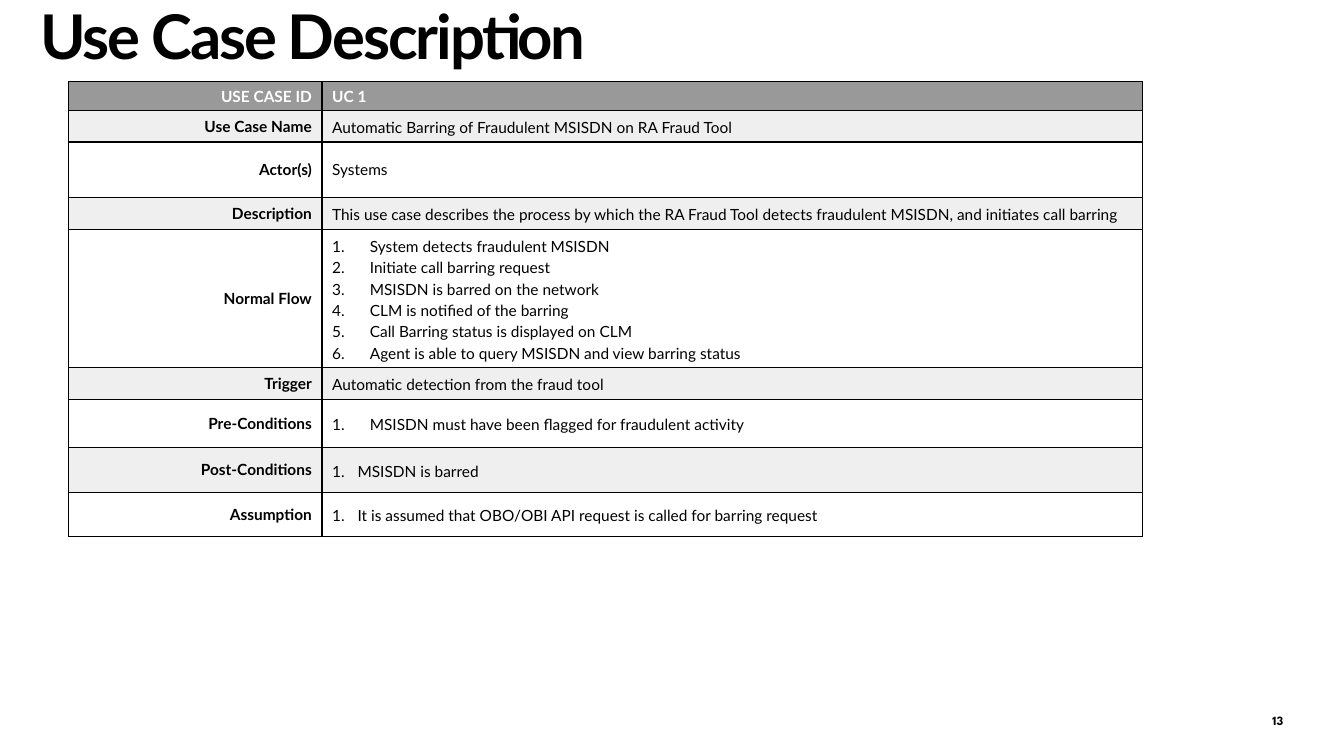
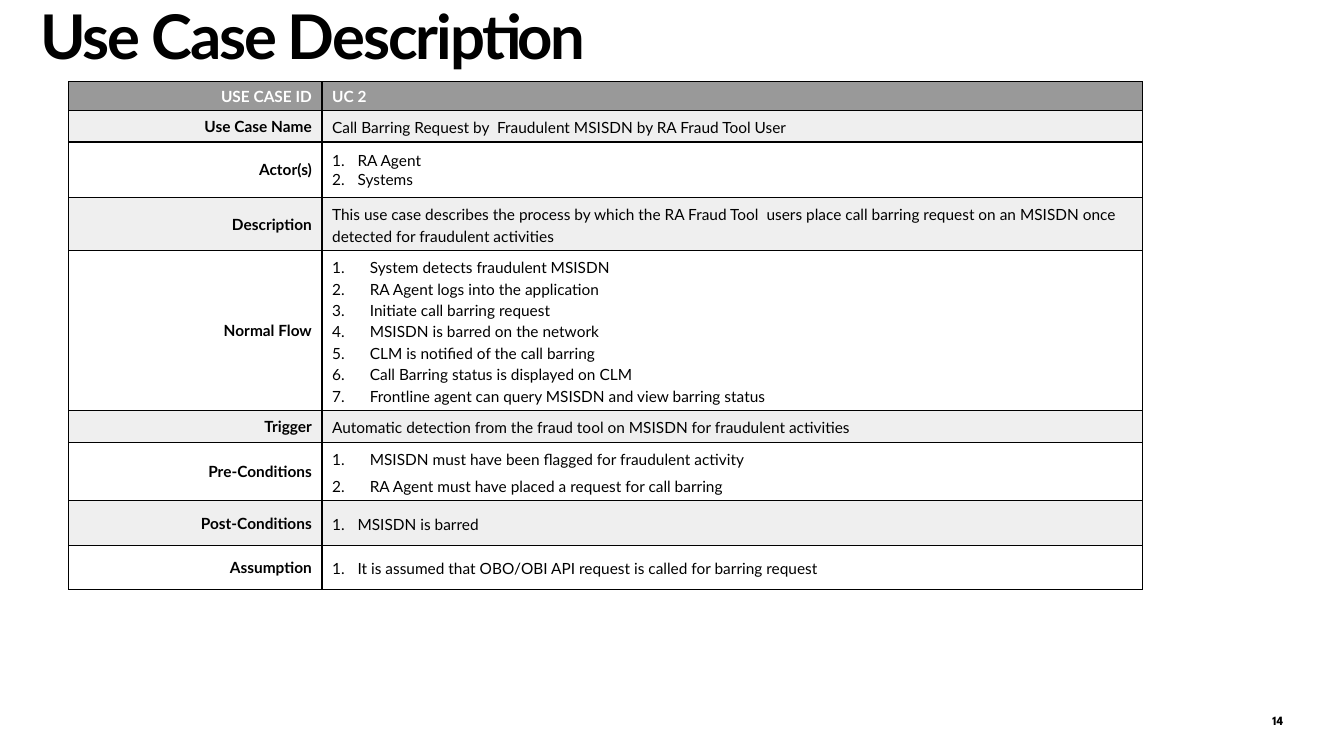
from lxml import etree
from pptx import Presentation
from pptx.dml.color import RGBColor
from pptx.enum.shapes import MSO_SHAPE
from pptx.enum.text import MSO_ANCHOR, MSO_AUTO_SIZE, PP_ALIGN
from pptx.oxml.ns import qn
from pptx.util import Cm, Pt

OVAL = MSO_SHAPE.OVAL
TOP, MIDDLE = MSO_ANCHOR.TOP, MSO_ANCHOR.MIDDLE
LEFT, CENTER, RIGHT = PP_ALIGN.LEFT, PP_ALIGN.CENTER, PP_ALIGN.RIGHT
NO_AUTOFIT = MSO_AUTO_SIZE.NONE

BLACK = RGBColor(0x00, 0x00, 0x00)
WHITE = RGBColor(0xFF, 0xFF, 0xFF)
HEADER_GREY = RGBColor(0x99, 0x99, 0x99)
BAND_GREY = RGBColor(0xEF, 0xEF, 0xEF)

TITLE_LAYOUT = 5
TITLE = "Use Case Description"
TITLE_BOX = (Cm(1.02), Cm(0.15), Cm(31.67), Cm(1.37))
TABLE_BOX = (Cm(1.73), Cm(2.06), Cm(27.06), Cm(10.75))
NUMBER_BOX = (Cm(31.34), Cm(17.81), Cm(1.73), Cm(0.69))
LABEL_SHARE = 0.236

TITLE_FONT = {"name": "Lato", "size": Pt(44), "bold": True}
NUMBER_FONT = {"name": "League Spartan", "size": Pt(9), "bold": True}
LABEL_FONT = {"name": "Lato", "size": Pt(11), "bold": True}
VALUE_FONT = {**LABEL_FONT, "bold": False}
NO_INSETS = dict.fromkeys(
    ("margin_left", "margin_top", "margin_right", "margin_bottom"), 0)

PLAIN = {}
SPACED = {"line_spacing": 1.15, "space_before": Pt(3), "space_after": Pt(3)}
LOOSE = {"line_spacing": 1.15, "space_before": Pt(2), "space_after": Pt(2)}
TIGHT = {"line_spacing": 1.15}
WIDE, NARROW = Cm(0.95), Cm(0.64)

ROWS = [
    ("USE CASE ID", Cm(0.61), PLAIN, None),
    ("Use Case Name", Cm(0.66), SPACED, None),
    ("Actor(s)", Cm(1.4), PLAIN, NARROW),
    ("Description", Cm(0.66), SPACED, None),
    ("Normal Flow", Cm(3.3), TIGHT, WIDE),
    ("Trigger", Cm(0.66), SPACED, None),
    ("Pre-Conditions", Cm(1.22), LOOSE, WIDE),
    ("Post-Conditions", Cm(1.12), TIGHT, NARROW),
    ("Assumption", Cm(1.12), TIGHT, NARROW),
]

FLAGGED = "MSISDN must have been flagged for fraudulent activity"
OUTCOME = [
    ["MSISDN is barred"],
    ["It is assumed that OBO/OBI API request is called for barring request"],
]
USE_CASES = {
    13: [
        "UC 1",
        "Automatic Barring of Fraudulent MSISDN on RA Fraud Tool",
        "Systems",
        "This use case describes the process by which the RA Fraud Tool "
        "detects fraudulent MSISDN, and initiates call barring",
        ["System detects fraudulent MSISDN",
         "Initiate call barring request",
         "MSISDN is barred on the network",
         "CLM is notified of the barring",
         "Call Barring status is displayed on CLM",
         "Agent is able to query MSISDN and view barring status"],
        "Automatic detection from the fraud tool",
        [FLAGGED],
        *OUTCOME,
    ],
    14: [
        "UC 2",
        "Call Barring Request by  Fraudulent MSISDN by RA Fraud Tool User",
        ["RA Agent", "Systems"],
        "This use case describes the process by which the RA Fraud Tool  "
        "users place call barring request on an MSISDN once detected for "
        "fraudulent activities",
        ["System detects fraudulent MSISDN",
         "RA Agent logs into the application",
         "Initiate call barring request",
         "MSISDN is barred on the network",
         "CLM is notified of the call barring",
         "Call Barring status is displayed on CLM",
         "Frontline agent can query MSISDN and view barring status"],
        "Automatic detection from the fraud tool on MSISDN for fraudulent "
        "activities",
        [FLAGGED, "RA Agent must have placed a request for call barring"],
        *OUTCOME,
    ],
}


def set_attrs(obj, values):
    """Set each named attribute of an object."""
    for name, value in values.items():
        setattr(obj, name, value)


def write(p, text, font, color=BLACK, align=LEFT, spacing=PLAIN):
    """Write one formatted run into a paragraph and return it."""
    set_attrs(p, {"alignment": align, **spacing})
    r = p.add_run()
    r.text = text
    set_attrs(r.font, font)
    r.font.color.rgb = color
    return r


def number_paragraph(p, indent):
    """Number a paragraph with a hanging indent."""
    pPr = p._p.get_or_add_pPr()
    pPr.set("marL", str(indent))
    pPr.set("indent", str(-indent))
    etree.SubElement(pPr, qn("a:buFont"), typeface="Lato")
    etree.SubElement(pPr, qn("a:buAutoNum"), type="arabicPeriod")


def style_cell(cell, fill):
    """Give a cell thin black borders, a fill and centred text."""
    tcPr = cell._tc.get_or_add_tcPr()
    for side in ("lnL", "lnR", "lnT", "lnB"):
        ln = etree.SubElement(tcPr, qn(f"a:{side}"), w=str(Pt(1)))
        solid = etree.SubElement(ln, qn("a:solidFill"))
        etree.SubElement(solid, qn("a:srgbClr"), val=str(BLACK))
    cell.fill.solid()
    cell.fill.fore_color.rgb = fill
    cell.vertical_anchor = MIDDLE


def fill_value(tf, value, font, color, spacing, indent):
    """Write a cell's text, numbered when it is a list."""
    items = value if isinstance(value, list) else [value]
    for i, text in enumerate(items):
        p = tf.add_paragraph() if i else tf.paragraphs[0]
        write(p, text, font, color, spacing=spacing)
        if items is value:
            number_paragraph(p, indent)


def add_title(s, box):
    """Place and format the title placeholder."""
    sp = s.shapes.title
    set_attrs(sp, dict(zip(("left", "top", "width", "height"), box)))
    tf = sp.text_frame
    set_attrs(tf, {**NO_INSETS, "vertical_anchor": TOP, "word_wrap": True,
                   "auto_size": NO_AUTOFIT})
    r = write(tf.paragraphs[0], TITLE, TITLE_FONT, spacing={"line_spacing": 0.9})
    r.font._element.set("spc", "-150")


def add_use_case_table(s, box, values):
    """Draw the table of labels and values for one use case."""
    width = box[2]
    table = s.shapes.add_table(len(ROWS), 2, *box).table
    set_attrs(table, {"first_row": False, "horz_banding": False})
    table.columns[0].width = round(width * LABEL_SHARE)
    table.columns[1].width = width - table.columns[0].width
    for i, ((label, height, spacing, indent), value) in enumerate(
            zip(ROWS, values)):
        table.rows[i].height = height
        fill = BAND_GREY if i % 2 else WHITE
        color, font = BLACK, VALUE_FONT
        if i == 0:
            fill, color, font = HEADER_GREY, WHITE, LABEL_FONT
        label_cell, value_cell = table.rows[i].cells
        for cell in (label_cell, value_cell):
            style_cell(cell, fill)
        write(label_cell.text_frame.paragraphs[0], label, LABEL_FONT, color,
              RIGHT)
        fill_value(value_cell.text_frame, value, font, color, spacing, indent)
        if label == "Normal Flow":
            value_cell.vertical_anchor = TOP


def add_page_number(s, box, number):
    """Place the page number in a white oval."""
    sp = s.shapes.add_shape(OVAL, *box)
    sp.shadow.inherit = False
    sp.fill.solid()
    sp.fill.fore_color.rgb = WHITE
    sp.line.fill.background()
    tf = sp.text_frame
    set_attrs(tf, {**NO_INSETS, "vertical_anchor": MIDDLE})
    write(tf.paragraphs[0], str(number), NUMBER_FONT, align=CENTER)


def add_use_case_slide(prs, number, values):
    """Build one use case slide."""
    s = prs.slides.add_slide(prs.slide_layouts[TITLE_LAYOUT])
    add_page_number(s, NUMBER_BOX, number)
    add_title(s, TITLE_BOX)
    add_use_case_table(s, TABLE_BOX, values)


def main():
    """Build and save the presentation."""
    prs = Presentation()
    prs.slide_width, prs.slide_height = Cm(33.87), Cm(19.05)
    for number, values in USE_CASES.items():
        add_use_case_slide(prs, number, values)
    prs.save("out.pptx")


if __name__ == "__main__":
    main()
